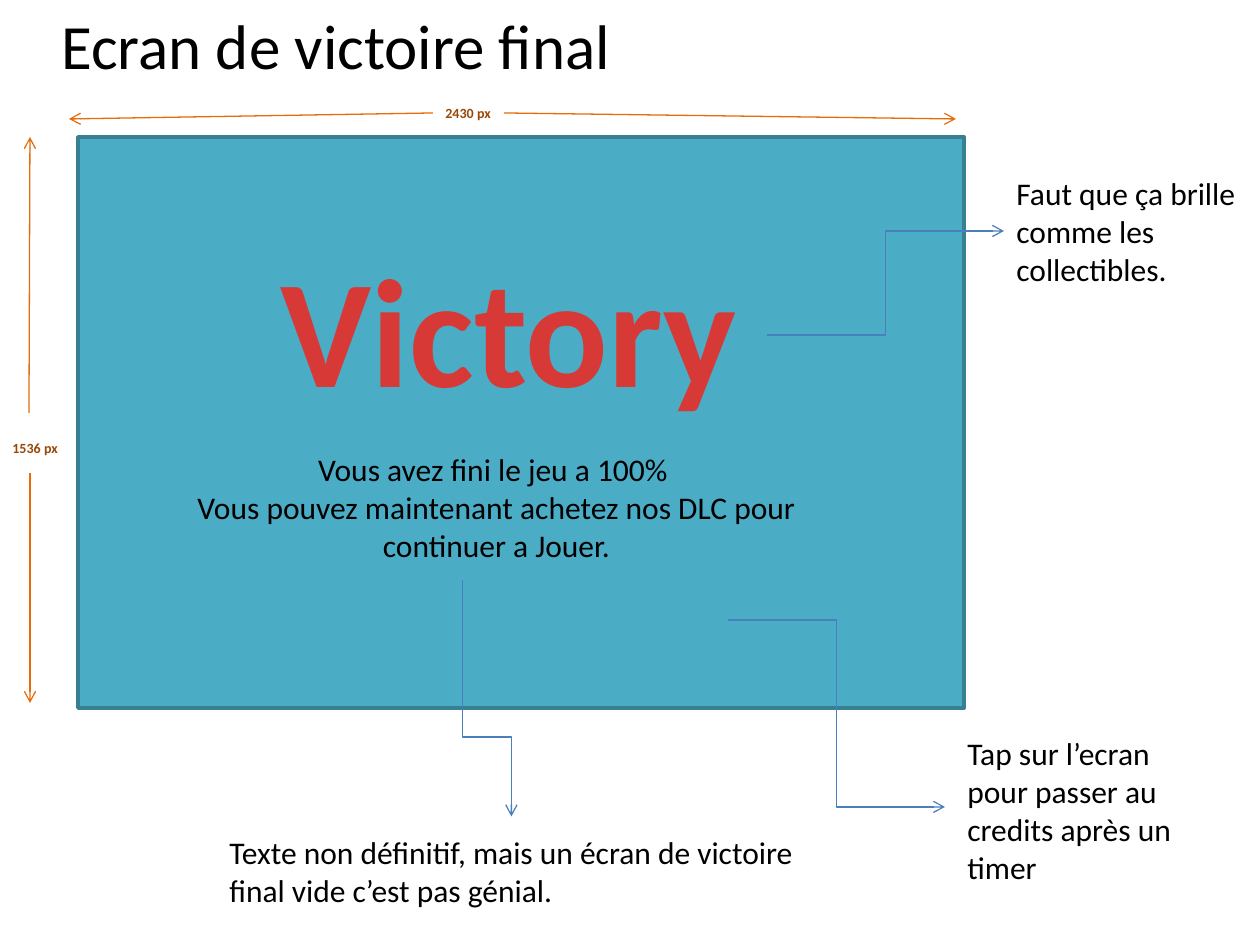
from lxml import etree
from pptx import Presentation
from pptx import util as u
from pptx.dml.color import RGBColor
from pptx.enum import shapes, text
from pptx.oxml.ns import qn

PX = u.Inches(1) / 126
THEME = {
    "font": "Calibri",
    "screen": "4BACC6", "screen_line": "377F92",
    "measure": "E46C0A", "measure_text": "984807",
    "callout": "4B7EBC", "body": "000000", "victory": "D73A36",
    "label_size": 8, "body_size": 18, "title_size": 36, "victory_size": 88,
}
LEFT, CENTER = text.PP_ALIGN.LEFT, text.PP_ALIGN.CENTER
STRAIGHT, ELBOW = shapes.MSO_CONNECTOR.STRAIGHT, shapes.MSO_CONNECTOR.ELBOW


def px(*values):
    return [u.Emu(round(value * PX)) for value in values]


def add_arrow(kind, ends, color):
    """Draw a thin connector with an open arrowhead at its end."""
    arrow = slide.shapes.add_connector(kind, *px(*ends))
    arrow.line.width = u.Pt(0.75)
    arrow.line.color.rgb = RGBColor.from_string(THEME[color])
    etree.SubElement(arrow.line._get_or_add_ln(), qn("a:tailEnd"), type="arrow")
    etree.SubElement(arrow._element.spPr, qn("a:effectLst"))
    return arrow


presentation = Presentation()
presentation.slide_width, presentation.slide_height = px(1260, 945)
slide = presentation.slides.add_slide(presentation.slide_layouts[6])

# Game screen
screen = slide.shapes.add_shape(shapes.MSO_SHAPE.RECTANGLE, *px(78, 137, 886, 571))
screen.shadow.inherit = False
screen.fill.solid()
screen.fill.fore_color.rgb = RGBColor.from_string(THEME["screen"])
screen.line.color.rgb = RGBColor.from_string(THEME["screen_line"])
screen.line.width = u.Pt(2)

# Dimension arrows, two on each side of their label
for ends in [(30, 473, 30, 703), (29, 413, 30, 137),
             (433, 113, 69, 119), (504, 113, 956, 119)]:
    add_arrow(STRAIGHT, ends, "measure")

# Callout arrows
for ends in [(767, 335, 1004, 231), (728, 620, 945, 807)]:
    add_arrow(ELBOW, ends, "callout")

# The callout below the screen starts downwards, so its elbow is turned
text_arrow = add_arrow(ELBOW, (605, 674, 369, 723), "callout")
text_arrow._element.spPr.find(qn("a:xfrm")).set("rot", str(270 * 60000))
geometry = text_arrow._element.spPr.find(qn("a:prstGeom"))
adjustments = geometry.find(qn("a:avLst"))
etree.SubElement(adjustments, qn("a:gd"), name="adj1", fmla="val 66300")

# Words, box, size, colour, bold, alignment, wrap
texts = [
    ("1536 px", (0, 433, 71, 30), "label_size", "measure_text", True, LEFT, False),
    ("2430 px", (433, 98, 71, 30), "label_size", "measure_text", True, LEFT, False),
    ("Victory", (266, 227, 486, 199), "victory_size", "victory", True, CENTER, True),
    ("Vous avez fini le jeu a 100% \vVous pouvez maintenant achetez nos DLC "
     "pour continuer a Jouer.",
     (147, 444, 699, 127), "body_size", "body", False, CENTER, True),
    ("Faut que ça brille comme les collectibles.",
     (1004, 168, 256, 127), "body_size", "body", False, LEFT, True),
    ("Texte non définitif, mais un écran de victoire final vide c’est pas génial.",
     (217, 827, 601, 89), "body_size", "body", False, LEFT, True),
    ("Ecran de victoire final",
     (49, 0, 1211, 89), "title_size", "body", False, LEFT, True),
    ("Tap sur l’ecran pour passer au credits après un timer",
     (955, 728, 266, 165), "body_size", "body", False, LEFT, True),
]
for words, box, size, color, bold, alignment, wrap in texts:
    frame = slide.shapes.add_textbox(*px(*box)).text_frame
    frame.word_wrap = wrap
    frame.auto_size = text.MSO_AUTO_SIZE.SHAPE_TO_FIT_TEXT
    paragraph = frame.paragraphs[0]
    paragraph.text = words
    paragraph.alignment = alignment
    for run in paragraph.runs:
        font_format = {"name": THEME["font"], "size": u.Pt(THEME[size]), "bold": bold}
        for name, value in font_format.items():
            setattr(run.font, name, value)
        run.font.color.rgb = RGBColor.from_string(THEME[color])

presentation.save("out.pptx")
